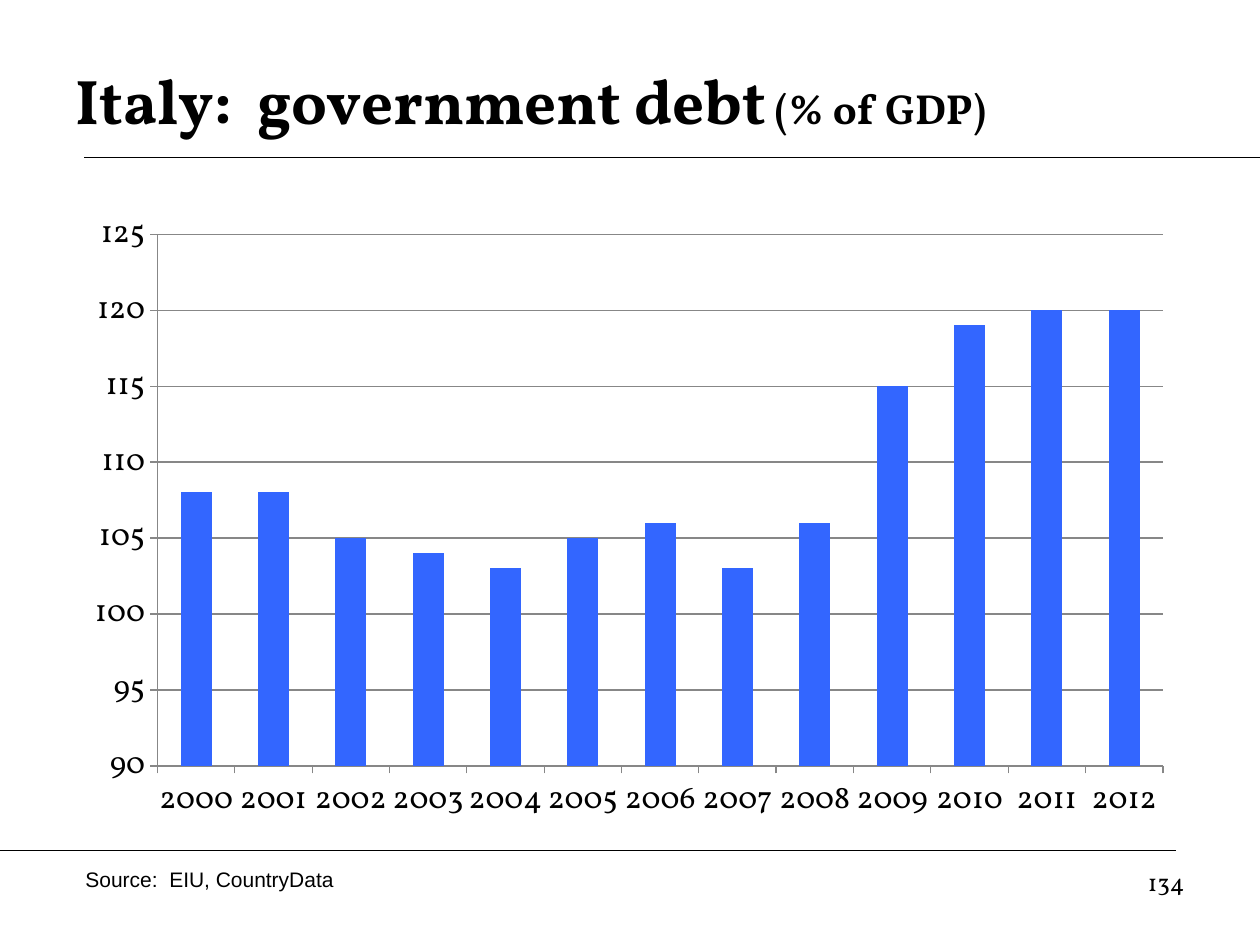
from lxml.etree import SubElement
from pptx import Presentation
from pptx.chart.data import CategoryChartData
from pptx.dml.color import RGBColor
from pptx.enum.chart import XL_CHART_TYPE, XL_TICK_MARK
from pptx.enum.shapes import MSO_CONNECTOR
from pptx.enum.text import MSO_ANCHOR, PP_ALIGN
from pptx.oxml.ns import qn
from pptx.util import Inches, Pt

BLACK = RGBColor(0x00, 0x00, 0x00)
GRAY = RGBColor(0x87, 0x87, 0x87)
BLUE = RGBColor(0x33, 0x66, 0xFF)
SERIF = "Vollkorn"
YEARS = [str(year) for year in range(2000, 2013)]
DEBT = [108, 108, 105, 104, 103, 105, 106, 103, 106, 115, 119, 120, 120]
CHART_BOX = (0.58, 1.58, 8.83, 5.06)
PLOT_BOX = (1.25, 1.86, 7.98, 4.22)


def set_font(font, name, size, bold=False):
    """Give a font its typeface, size, weight and black colour."""
    font.name = name
    font.size = Pt(size)
    font.bold = bold
    font.color.rgb = BLACK


def add_rule(slide, left, right, top):
    """Draw a thin horizontal line."""
    line = slide.shapes.add_connector(
        MSO_CONNECTOR.STRAIGHT, Inches(left), Inches(top), Inches(right), Inches(top))
    line.line.color.rgb = BLACK
    line.line.width = Pt(0.75)
    SubElement(line._element.spPr, qn("a:effectLst"))


def add_text(slide, text, box, name, size, bold=False, align=PP_ALIGN.LEFT):
    """Add a wrapped one-paragraph text box and return its text frame."""
    frame = slide.shapes.add_textbox(*map(Inches, box)).text_frame
    frame.word_wrap = True
    paragraph = frame.paragraphs[0]
    paragraph.alignment = align
    set_font(paragraph.font, name, size, bold)
    paragraph.add_run().text = text
    return frame


def add_title(slide, text, unit):
    """Add the heading with its smaller unit."""
    frame = add_text(slide, text, (0.5, 0.33, 9, 0.92), SERIF, 36, bold=True)
    frame.vertical_anchor = MSO_ANCHOR.MIDDLE
    run = frame.paragraphs[0].add_run()
    run.text = unit
    run.font.size = Pt(24)


def set_plot_area(chart):
    """Place the inner plot area inside the chart box."""
    plot_area = chart._chartSpace.chart.plotArea
    layout = plot_area.find(qn("c:layout"))
    if layout is None:
        layout = SubElement(plot_area, qn("c:layout"))
        plot_area.insert(0, layout)
    manual = SubElement(layout, qn("c:manualLayout"))
    SubElement(manual, qn("c:layoutTarget"), val="inner")
    for side in "xy":
        SubElement(manual, qn(f"c:{side}Mode"), val="edge")
    left, top, width, height = CHART_BOX
    plot_left, plot_top, plot_width, plot_height = PLOT_BOX
    fractions = {"x": (plot_left - left) / width, "y": (plot_top - top) / height,
                 "w": plot_width / width, "h": plot_height / height}
    for key, fraction in fractions.items():
        SubElement(manual, qn(f"c:{key}"), val=str(fraction))


def add_debt_chart(slide):
    """Add the column chart of debt by year."""
    data = CategoryChartData(number_format="0")
    data.categories = YEARS
    data.add_series("Government debt", DEBT)
    chart = slide.shapes.add_chart(
        XL_CHART_TYPE.COLUMN_CLUSTERED, *map(Inches, CHART_BOX), data).chart
    chart.has_legend = False
    chart.has_title = False
    set_font(chart.font, SERIF, 18)
    plot = chart.plots[0]
    plot.gap_width = 150
    plot.vary_by_categories = False
    fill = plot.series[0].format.fill
    fill.solid()
    fill.fore_color.rgb = BLUE
    value_axis = chart.value_axis
    value_axis.minimum_scale, value_axis.maximum_scale = 90, 125
    value_axis.major_unit = 5
    value_axis.has_major_gridlines = True
    for axis in (chart.category_axis, value_axis):
        axis.major_tick_mark = XL_TICK_MARK.OUTSIDE
    for part in (chart.category_axis, value_axis, value_axis.major_gridlines):
        part.format.line.color.rgb = GRAY
    set_plot_area(chart)


def main():
    """Build and save the slide."""
    presentation = Presentation()
    presentation.slide_width = Inches(10)
    presentation.slide_height = Inches(7.5)
    slide = presentation.slides.add_slide(presentation.slide_layouts[6])
    add_rule(slide, 0.67, 10, 1.25)
    add_rule(slide, 0, 9.33, 6.75)
    add_title(slide, "Italy:  government debt", " (% of GDP)")
    add_text(slide, "134", (7.17, 6.83, 2.33, 0.52), SERIF, 14, align=PP_ALIGN.RIGHT)
    add_text(slide, "Source:  EIU, CountryData", (0.58, 6.83, 4.83, 0.3), "Arial", 12)
    add_debt_chart(slide)
    presentation.save("out.pptx")


if __name__ == "__main__":
    main()
